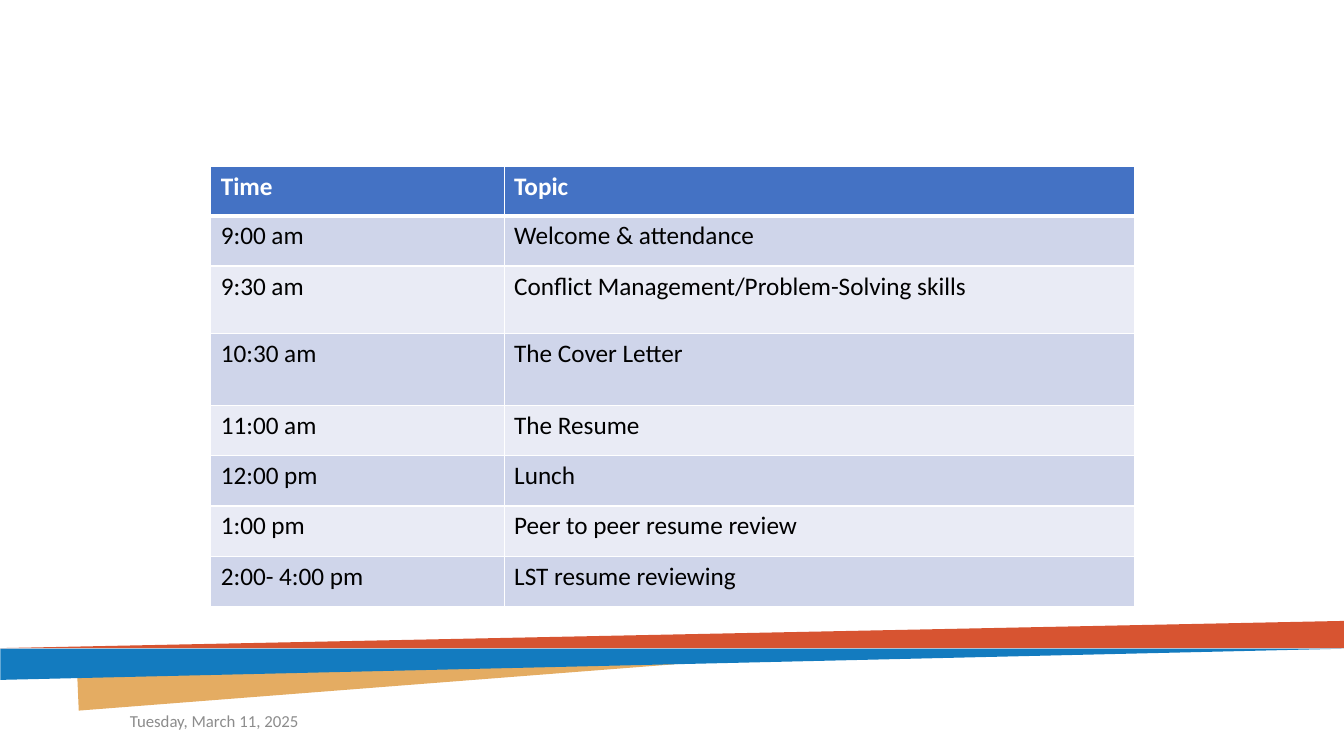
import pptx
import pptx.dml.color
import pptx.enum.shapes
import pptx.enum.text
import pptx.oxml
import pptx.oxml.ns
import pptx.util
from pptx.util import Inches

COLORS = {
    "orange": "E4AC62", "blue": "137BBF", "red": "D75431", "date": "8C8C8C",
    "header": "4472C4", "dark_band": "CFD5EA", "light_band": "E9EBF5",
    "white": "FFFFFF", "black": "000000",
}
AGENDA = [
    ("Time", "Topic"),
    ("9:00 am", "Welcome & attendance"),
    ("9:30 am", "Conflict Management/Problem-Solving skills"),
    ("10:30 am", "The Cover Letter"),
    ("11:00 am", "The Resume"),
    ("12:00 pm", "Lunch"),
    ("1:00 pm", "Peer to peer resume review"),
    ("2:00- 4:00 pm", "LST resume reviewing"),
]
COLUMN_WIDTHS = [2.91, 6.25]
ROW_HEIGHTS = [0.49, 0.5, 0.67, 0.71, 0.5, 0.5, 0.5, 0.5]


def rgb(name):
    """Return the named colour."""
    return pptx.dml.color.RGBColor.from_string(COLORS[name])


def set_font(para, size, color, bold=False):
    """Set the font of a paragraph."""
    para.font.name = "Calibri"
    para.font.size = pptx.util.Pt(size)
    para.font.bold = bold
    para.font.color.rgb = rgb(color)


def add_wedge(page, left, top, width, height, rotation, apex, color):
    """Add a long, thin triangle turned on its side."""
    wedge = page.shapes.add_shape(
        pptx.enum.shapes.MSO_SHAPE.ISOSCELES_TRIANGLE,
        Inches(left), Inches(top), Inches(width), Inches(height))
    wedge.adjustments[0] = apex
    wedge.rotation = rotation
    wedge.shadow.inherit = False
    wedge.fill.solid()
    wedge.fill.fore_color.rgb = rgb(color)
    wedge.line.fill.background()


def add_date(page, text):
    """Add the date at the foot of the page."""
    box = page.shapes.add_textbox(Inches(1.19), Inches(6.95), Inches(2.73), Inches(0.4))
    box.text_frame.word_wrap = True
    box.text_frame.vertical_anchor = pptx.enum.text.MSO_ANCHOR.MIDDLE
    para = box.text_frame.paragraphs[0]
    para.text = text
    set_font(para, 12, "date")


def set_borders(cell, widths):
    """Draw white cell borders with the given widths in points."""
    properties = cell._tc.get_or_add_tcPr()
    for side, width in widths.items():
        properties.append(pptx.oxml.parse_xml(
            f'<a:ln{side} {pptx.oxml.ns.nsdecls("a")} w="{pptx.util.Pt(width)}">'
            f'<a:solidFill><a:srgbClr val="{COLORS["white"]}"/></a:solidFill>'
            f'</a:ln{side}>'))


def add_agenda(page):
    """Add the table of times and topics."""
    table = page.shapes.add_table(
        len(AGENDA), len(COLUMN_WIDTHS), Inches(2.09), Inches(1.65),
        Inches(sum(COLUMN_WIDTHS)), Inches(sum(ROW_HEIGHTS))).table
    for column, width in zip(table.columns, COLUMN_WIDTHS):
        column.width = Inches(width)
    for index, (row, height, texts) in enumerate(zip(table.rows, ROW_HEIGHTS, AGENDA)):
        row.height = Inches(height)
        is_header = index == 0
        band = "header" if is_header else "dark_band" if index % 2 else "light_band"
        widths = {"L": 1, "R": 1, "T": 3 if index == 1 else 1, "B": 3 if is_header else 1}
        for cell, text in zip(row.cells, texts):
            set_borders(cell, widths)
            cell.fill.solid()
            cell.fill.fore_color.rgb = rgb(band)
            cell.text = text
            set_font(cell.text_frame.paragraphs[0], 18,
                     "white" if is_header else "black", is_header)


def main():
    """Build the agenda slide and save it."""
    deck = pptx.Presentation()
    deck.slide_width, deck.slide_height = Inches(13.33), Inches(7.5)
    page = deck.slides.add_slide(deck.slide_layouts[6])
    add_wedge(page, 4.27, 3.06, 0.33, 7.33, 87.5, 0.245, "orange")
    add_wedge(page, 6.52, -0.08, 0.31, 13.34, 90, 0, "blue")
    add_wedge(page, 6.53, -0.37, 0.27, 13.33, 270, 0, "red")
    add_date(page, "Tuesday, March 11, 2025")
    add_agenda(page)
    deck.save("out.pptx")


if __name__ == "__main__":
    main()
